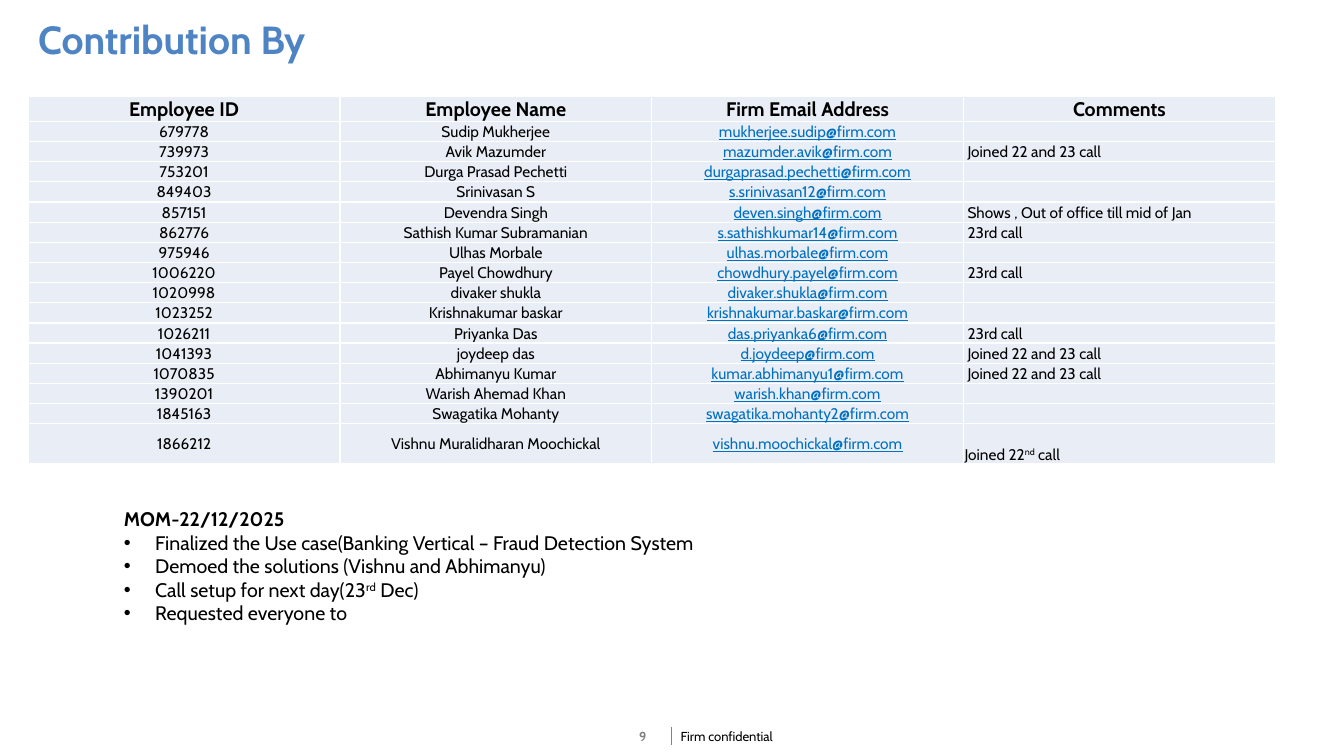
from dataclasses import dataclass
from typing import Any

from lxml.etree import SubElement
from pptx import Presentation
from pptx.dml.color import RGBColor
from pptx.enum.shapes import MSO_CONNECTOR
from pptx.enum.text import MSO_ANCHOR, PP_ALIGN
from pptx.oxml.ns import qn
from pptx.util import Inches, Pt

FONT = "Cabin"
BLACK, WHITE, BLUE, LINK = "000000", "FFFFFF", "4E84C4", "0070C0"
GRAY, RULE, CELL = "808080", "808285", "E9EDF5"
EMAIL_DOMAIN = "@firm.com"


@dataclass(frozen=True)
class Style:
    size: float
    color: str = BLACK
    bold: bool = False
    underline: bool = False


@dataclass(frozen=True)
class TextBox:
    left: float
    top: float
    width: float
    height: float
    lines: tuple[str, ...]
    style: Style
    frame_format: dict[str, Any]
    paragraph_format: dict[str, Any]


@dataclass(frozen=True)
class Employee:
    number: str
    name: str
    mailbox: str
    comment: str = ""


HEADER = Style(14, bold=True)
BODY = Style(11)
EMAIL = Style(11, LINK, underline=True)
NOTES = Style(14)

HEADINGS = ("Employee ID", "Employee Name", "Firm Email Address", "Comments")
BOTH_CALLS = "Joined 22 and 23 call"
SECOND_CALL = "23rd call"
EMPLOYEES = (
    Employee("679778", "Sudip Mukherjee", "mukherjee.sudip"),
    Employee("739973", "Avik Mazumder", "mazumder.avik", BOTH_CALLS),
    Employee("753201", "Durga Prasad Pechetti", "durgaprasad.pechetti"),
    Employee("849403", "Srinivasan S", "s.srinivasan12"),
    Employee("857151", "Devendra Singh", "deven.singh", "Shows , Out of office till mid of Jan"),
    Employee("862776", "Sathish Kumar Subramanian", "s.sathishkumar14", SECOND_CALL),
    Employee("975946", "Ulhas Morbale", "ulhas.morbale"),
    Employee("1006220", "Payel Chowdhury", "chowdhury.payel", SECOND_CALL),
    Employee("1020998", "divaker shukla", "divaker.shukla"),
    Employee("1023252", "Krishnakumar baskar", "krishnakumar.baskar"),
    Employee("1026211", "Priyanka Das", "das.priyanka6", SECOND_CALL),
    Employee("1041393", "joydeep das", "d.joydeep", BOTH_CALLS),
    Employee("1070835", "Abhimanyu Kumar", "kumar.abhimanyu1", BOTH_CALLS),
    Employee("1390201", "Warish Ahemad Khan", "warish.khan"),
    Employee("1845163", "Swagatika Mohanty", "swagatika.mohanty2"),
    Employee("1866212", "Vishnu Muralidharan Moochickal", "vishnu.moochickal", "Joined 22^nd^ call"),
)

FOOTER_FRAME = {"vertical_anchor": MSO_ANCHOR.MIDDLE, "margin_left": Inches(0.07)}
TEXT_BOXES = (
    TextBox(0.28, 0.16, 11.5, 0.81, ("Contribution By",), Style(28, BLUE, True),
            {}, {"line_spacing": 0.9}),
    TextBox(6.68, 7.21, 2.74, 0.19, ("Firm confidential",), Style(9.3), FOOTER_FRAME, {}),
    TextBox(6.27, 7.21, 0.44, 0.19, ("9",), Style(9.3, GRAY, True),
            FOOTER_FRAME | {"margin_right": Inches(0.07)}, {}),
)
MINUTES = TextBox(1.13, 4.98, 5.92, 1.51, (
    "MOM-22/12/2025",
    "Finalized the Use case(Banking Vertical – Fraud Detection System",
    "Demoed the solutions (Vishnu and Abhimanyu)",
    "Call setup for next day(23^rd^ Dec)",
    "Requested everyone to",
), NOTES, {}, {})


def rgb(color: str) -> RGBColor:
    return RGBColor.from_string(color)


def apply_format(target: Any, values: dict[str, Any]) -> None:
    for name, value in values.items():
        setattr(target, name, value)


def write(paragraph: Any, text: str, style: Style) -> None:
    """Fill a paragraph; text between carets is raised."""
    for position, part in enumerate(text.split("^")):
        run = paragraph.add_run()
        run.text = part
        apply_format(run.font, {"name": FONT, "size": Pt(style.size),
                                "bold": style.bold, "underline": style.underline})
        run.font.color.rgb = rgb(style.color)
        if position % 2:
            run.font._element.set("baseline", "30000")


def add_bullet(paragraph: Any) -> None:
    properties = paragraph._p.get_or_add_pPr()
    properties.set("marL", str(Inches(0.31)))
    properties.set("indent", str(-Inches(0.31)))
    SubElement(properties, qn("a:buFont"), typeface="Arial")
    SubElement(properties, qn("a:buChar"), char="•")


def add_text_box(slide: Any, box: TextBox) -> Any:
    shape = slide.shapes.add_textbox(*map(Inches, (box.left, box.top, box.width, box.height)))
    frame = shape.text_frame
    apply_format(frame, {"word_wrap": True} | box.frame_format)
    for position, line in enumerate(box.lines):
        paragraph = frame.add_paragraph() if position else frame.paragraphs[0]
        apply_format(paragraph, box.paragraph_format)
        write(paragraph, line, box.style if position or len(box.lines) == 1 else HEADER)
    return shape


def add_borders(cell: Any) -> None:
    properties = cell._tc.get_or_add_tcPr()
    for side in ("lnL", "lnR", "lnT", "lnB"):
        line = SubElement(properties, qn(f"a:{side}"), w=str(Pt(1)))
        SubElement(SubElement(line, qn("a:solidFill")), qn("a:srgbClr"), val=WHITE)


def fill_cell(cell: Any, text: str, style: Style, is_comment: bool) -> None:
    add_borders(cell)
    cell.fill.solid()
    cell.fill.fore_color.rgb = rgb(CELL)
    indent = 0.04 if is_comment and "^" not in text else 0.01
    apply_format(cell, {
        "margin_left": Inches(indent), "margin_right": Inches(0.01),
        "margin_top": Inches(0.01), "margin_bottom": 0,
        "vertical_anchor": MSO_ANCHOR.BOTTOM if is_comment else MSO_ANCHOR.MIDDLE,
    })
    paragraph = cell.text_frame.paragraphs[0]
    paragraph.alignment = PP_ALIGN.LEFT if is_comment else PP_ALIGN.CENTER
    if text:
        write(paragraph, text, style)
    else:
        # An empty cell keeps the small text size so its row stays low
        end = SubElement(paragraph._p, qn("a:endParaRPr"), sz=str(style.size * 100))
        SubElement(end, qn("a:latin"), typeface=FONT)


def add_employee_table(slide: Any) -> None:
    heights = [0.24] + [0.2] * (len(EMPLOYEES) - 1) + [0.4]
    table = slide.shapes.add_table(
        len(heights), len(HEADINGS), Inches(0.28), Inches(0.96),
        Inches(12.37), Inches(sum(heights))).table
    apply_format(table, {"first_row": False, "horz_banding": False})
    for row, height in zip(table.rows, heights):
        row.height = Inches(height)
    for column, heading in enumerate(HEADINGS):
        fill_cell(table.cell(0, column), heading, HEADER, False)
    for row, employee in enumerate(EMPLOYEES, start=1):
        values = (employee.number, employee.name, employee.mailbox + EMAIL_DOMAIN, employee.comment)
        for column, (text, style) in enumerate(zip(values, (BODY, BODY, EMAIL, BODY))):
            fill_cell(table.cell(row, column), text, style, column == 3)


def add_footer_rule(slide: Any) -> None:
    rule = slide.shapes.add_connector(
        MSO_CONNECTOR.STRAIGHT, Inches(6.66), Inches(7.21), Inches(6.66), Inches(7.39))
    rule.line.color.rgb = rgb(RULE)
    rule.line.width = Pt(1)
    SubElement(rule._element.spPr, qn("a:effectLst"))


def main() -> None:
    presentation = Presentation()
    apply_format(presentation, {"slide_width": Inches(13.33), "slide_height": Inches(7.5)})
    slide = presentation.slides.add_slide(presentation.slide_layouts[6])

    # Title and footer
    add_footer_rule(slide)
    for box in TEXT_BOXES:
        add_text_box(slide, box)

    # Contributors
    add_employee_table(slide)

    # Minutes of the meeting: a heading, then bullets
    minutes = add_text_box(slide, MINUTES)
    for paragraph in minutes.text_frame.paragraphs[1:]:
        add_bullet(paragraph)

    presentation.save("out.pptx")


if __name__ == "__main__":
    main()
